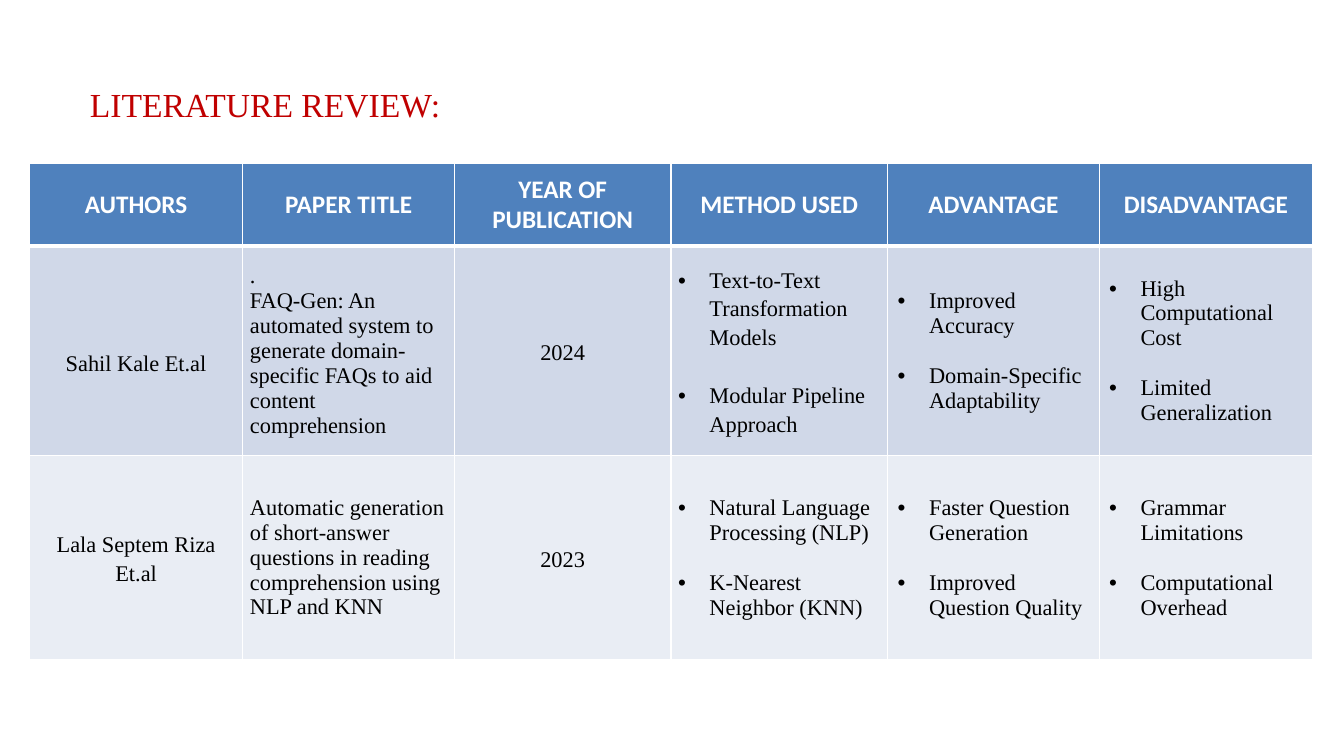
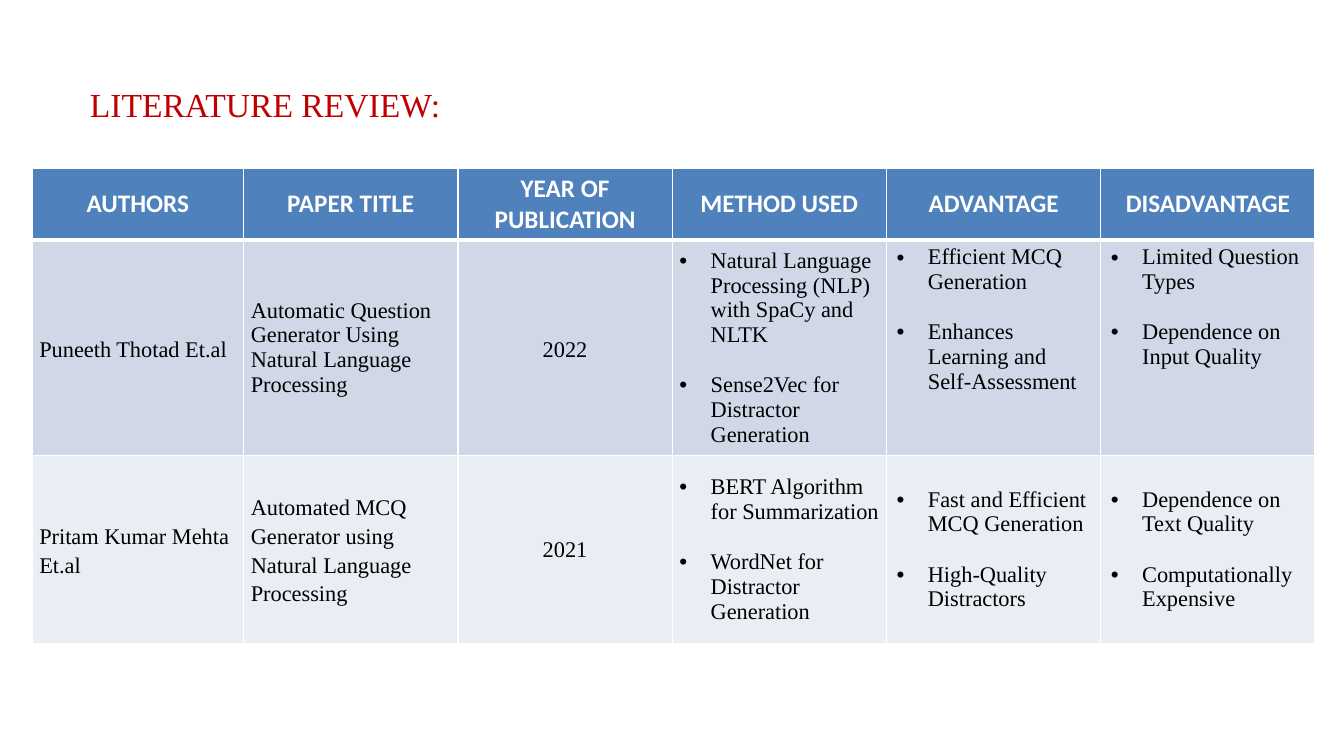
"""Build two literature review slides, each with a title and a table of papers."""
from lxml import etree
from pptx import Presentation, util as u
from pptx.dml.color import RGBColor
from pptx.enum.text import MSO_ANCHOR, PP_ALIGN
from pptx.oxml.ns import qn

COLORS = {"title": "C00000", "header": "4F81BD", "odd": "D0D8E8",
          "even": "E9EDF4", "white": "FFFFFF", "ink": "000000"}
SERIF, SANS = "Times New Roman", "Calibri"
TITLE = "LITERATURE REVIEW:"
HEADERS = ["AUTHORS", "PAPER TITLE", "YEAR OF PUBLICATION",
           "METHOD USED", "ADVANTAGE", "DISADVANTAGE"]
YEAR, METHOD, ADVANTAGE = 2, 3, 4

REVIEWS = [
    {"left": 0.74, "top": 4.12, "author_align": PP_ALIGN.CENTER,
     "columns": [5.38, 5.33, 5.46, 5.46, 5.33, 5.38], "rows": [2.08, 5.28, 5.14],
     "papers": [
         {"loose": {2, 3}, "author_drop": 0.64, "cells": [
             ["Sahil Kale Et.al"],
             [".", "FAQ-Gen: An automated system to generate domain-specific FAQs "
                   "to aid content comprehension"],
             ["2024"],
             ["Text-to-Text Transformation Models", "Modular Pipeline Approach"],
             ["Improved Accuracy", "Domain-Specific Adaptability"],
             ["High Computational Cost", "Limited Generalization"]]},
         {"loose": {0, 2}, "cells": [
             ["Lala Septem Riza Et.al"],
             ["Automatic generation of short‑answer questions in reading",
              "comprehension using NLP and KNN"],
             ["2023"],
             ["Natural Language Processing (NLP)", "K-Nearest Neighbor (KNN)"],
             ["Faster Question Generation", "Improved Question Quality"],
             ["Grammar Limitations", "Computational Overhead"]]}]},
    {"left": 0.81, "top": 4.24, "author_align": PP_ALIGN.LEFT,
     "columns": [5.33] + [5.4] * 5, "rows": [1.78, 5.44, 4.72],
     "papers": [
         {"loose": {0, 2}, "benefits_anchor": MSO_ANCHOR.TOP, "cells": [
             ["Puneeth Thotad Et.al"],
             ["Automatic Question Generator Using Natural Language Processing"],
             ["2022"],
             ["Natural Language Processing (NLP) with SpaCy and NLTK",
              "Sense2Vec for Distractor Generation"],
             ["Efficient MCQ Generation", "Enhances Learning and Self-Assessment"],
             ["Limited Question Types", "Dependence on Input Quality"]]},
         {"loose": {0, 1}, "cells": [
             ["Pritam Kumar Mehta Et.al"],
             ["Automated MCQ Generator using Natural Language Processing"],
             ["2021"],
             ["BERT Algorithm for Summarization", "WordNet for Distractor Generation"],
             ["Fast and Efficient MCQ Generation", "High-Quality Distractors"],
             ["Dependence on Text Quality", "Computationally Expensive"]]}]},
]


def rgb(name):
    return RGBColor.from_string(COLORS[name])


def style(para, font_name, size, color, bold=False, align=PP_ALIGN.LEFT):
    para.alignment = align
    font = para.font
    font.name, font.size, font.bold = font_name, u.Pt(size), bold
    font.color.rgb = rgb(color)


def add_bullet(para):
    props = para._p.get_or_add_pPr()
    props.set("marL", str(u.Cm(0.79)))
    props.set("indent", str(-u.Cm(0.79)))
    etree.SubElement(props, qn("a:buFont")).set("typeface", "Arial")
    etree.SubElement(props, qn("a:buChar")).set("char", "•")


def paint_cell(cell, fill, top=1, bottom=1):
    cell.vertical_anchor = MSO_ANCHOR.MIDDLE
    cell.fill.solid()
    cell.fill.fore_color.rgb = rgb(fill)
    props = cell._tc.get_or_add_tcPr()
    edges = {"lnL": 1, "lnR": 1, "lnT": top, "lnB": bottom}
    for place, (edge, width) in enumerate(edges.items()):
        line = etree.Element(qn(f"a:{edge}"), w=str(u.Pt(width)))
        color = etree.SubElement(etree.SubElement(line, qn("a:solidFill")), qn("a:srgbClr"))
        color.set("val", COLORS["white"])
        props.insert(place, line)


def fill_header(cell, label):
    paint_cell(cell, "header", bottom=3)
    cell.text = label
    style(cell.text_frame.paragraphs[0], SANS, 18, "white", True, PP_ALIGN.CENTER)


def fill_body(cell, column, paper, author_align):
    if column < ADVANTAGE:
        cell.margin_left = cell.margin_right = u.Cm(0.18)
        cell.margin_top = cell.margin_bottom = 0
    else:
        cell.vertical_anchor = paper.get("benefits_anchor", MSO_ANCHOR.MIDDLE)
    if column == 0:
        cell.margin_top = u.Cm(paper.get("author_drop", 0))
    align = {0: author_align, YEAR: PP_ALIGN.CENTER}.get(column, PP_ALIGN.LEFT)
    spacing = 1.15 if column in paper["loose"] else 1.0
    cell.text = "\n".join(paper["cells"][column])
    for number, para in enumerate(cell.text_frame.paragraphs):
        para.line_spacing = spacing
        if column >= METHOD:
            add_bullet(para)
            para.space_before = u.Pt(round(18 * spacing) if number else 0)
        style(para, SERIF, 16, "ink", align=align)


def add_title(page):
    title = page.shapes.title
    title.left, title.top, title.width, title.height = map(u.Cm, (2.01, 1.98, 12.24, 1.27))
    title.text_frame.text = TITLE
    title.text_frame.vertical_anchor = MSO_ANCHOR.MIDDLE
    style(title.text_frame.paragraphs[0], SERIF, 24, "title")


def add_review(page, review):
    columns, rows = review["columns"], review["rows"]
    box = (review["left"], review["top"], sum(columns), sum(rows))
    table = page.shapes.add_table(len(rows), len(columns), *map(u.Cm, box)).table
    table.horz_banding = False
    for column, width in zip(table.columns, columns):
        column.width = u.Cm(width)
    for row, height in zip(table.rows, rows):
        row.height = u.Cm(height)
    for column, label in enumerate(HEADERS):
        fill_header(table.cell(0, column), label)
        for row, paper in enumerate(review["papers"], 1):
            cell = table.cell(row, column)
            paint_cell(cell, "odd" if row % 2 else "even", top=3 if row == 1 else 1)
            fill_body(cell, column, paper, review["author_align"])


def main():
    deck = Presentation()
    deck.slide_width, deck.slide_height = u.Cm(33.87), u.Cm(19.05)
    for review in REVIEWS:
        page = deck.slides.add_slide(deck.slide_layouts[5])
        add_title(page)
        add_review(page, review)
    deck.save("out.pptx")


if __name__ == "__main__":
    main()
